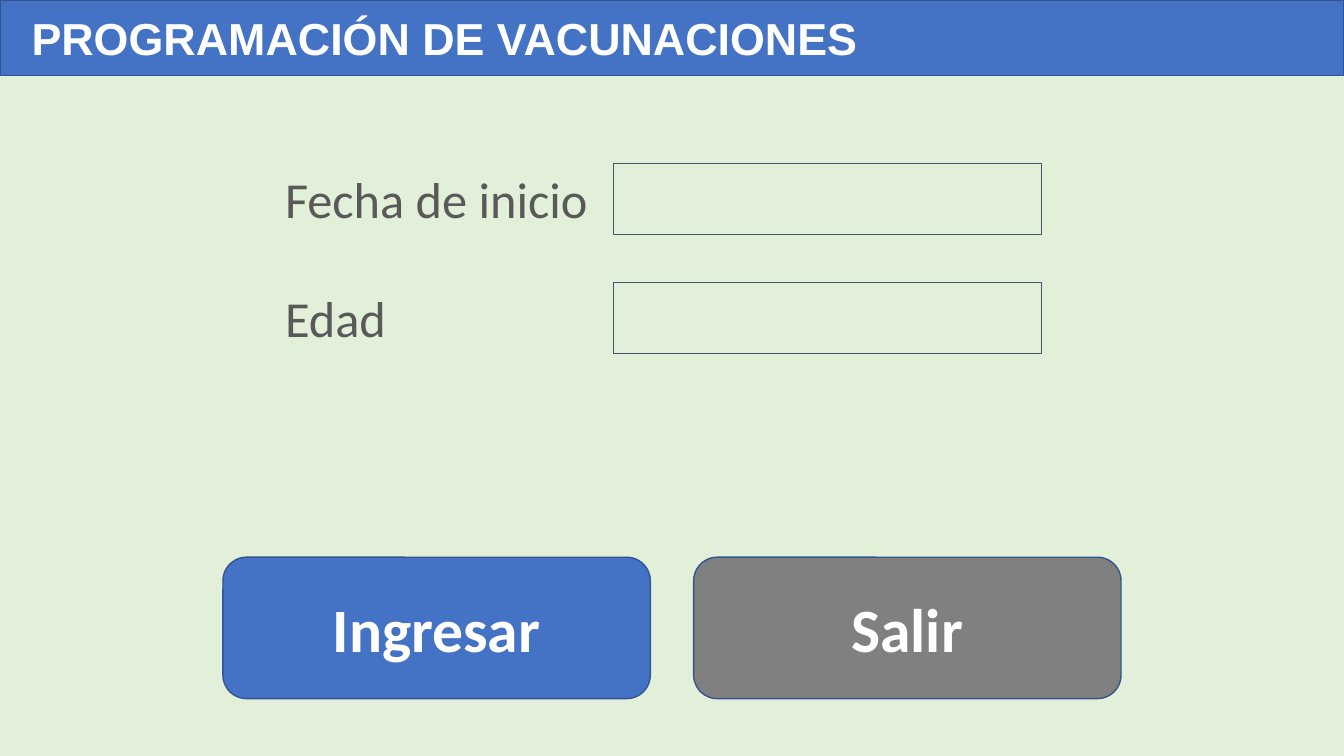
from collections import namedtuple
from dataclasses import dataclass

from pptx import Presentation
from pptx import util as u
from pptx.dml.color import RGBColor
from pptx.enum import shapes, text

Box = namedtuple("Box", "left top width height")


@dataclass(frozen=True)
class Theme:
    background: str = "E2F0D9"
    primary: str = "4472C4"
    secondary: str = "808080"
    outline: str = "325491"
    field_outline: str = "44546A"
    label: str = "595959"
    light: str = "FFFFFF"
    title_font: str = "Arial"
    body_font: str = "Calibri"
    title_size: int = 32
    label_size: int = 36
    button_size: int = 44


THEME = Theme()


def points(box):
    return [u.Pt(length) for length in box]


def add_panel(slide, kind, box, fill, outline, line_width):
    shape = slide.shapes.add_shape(kind, *points(box))
    shape.shadow.inherit = False
    if fill:
        shape.fill.solid()
        shape.fill.fore_color.rgb = RGBColor.from_string(fill)
    else:
        shape.fill.background()
    shape.line.color.rgb = RGBColor.from_string(outline)
    shape.line.width = u.Pt(line_width)
    return shape


def write(shape, wording, font, size, color, bold=False, align=text.PP_ALIGN.LEFT):
    shape.text_frame.text = wording
    shape.text_frame.word_wrap = True
    paragraph = shape.text_frame.paragraphs[0]
    paragraph.alignment = align
    style = paragraph.runs[0].font
    style.name, style.size, style.bold = font, u.Pt(size), bold
    style.color.rgb = RGBColor.from_string(color)


def add_header(slide, box, title):
    bar = add_panel(slide, shapes.MSO_SHAPE.RECTANGLE, box, THEME.primary, THEME.outline, 1)
    write(bar, title, THEME.title_font, THEME.title_size, THEME.light, bold=True)
    bar.text_frame.margin_left = u.Pt(22.5)
    bar.text_frame.vertical_anchor = text.MSO_ANCHOR.MIDDLE


def add_form(slide, box, labels, row_height=51):
    label_width, field_offset = 231, 242
    pitch = (box.height - row_height) / (len(labels) - 1)
    for row, wording in enumerate(labels):
        top = box.top + row * pitch
        # Label
        label = slide.shapes.add_textbox(*points(Box(box.left, top, label_width, row_height)))
        write(label, wording, THEME.body_font, THEME.label_size, THEME.label)
        # Empty entry field
        field = Box(box.left + field_offset, top, box.width - field_offset, row_height)
        add_panel(slide, shapes.MSO_SHAPE.RECTANGLE, field, None, THEME.field_outline, 0.75)


def add_buttons(slide, box, buttons, gap=31):
    width = (box.width - gap * (len(buttons) - 1)) / len(buttons)
    for column, (wording, fill) in enumerate(buttons):
        place = Box(box.left + column * (width + gap), box.top, width, box.height)
        button = add_panel(slide, shapes.MSO_SHAPE.ROUNDED_RECTANGLE, place, fill, THEME.outline, 1)
        write(button, wording, THEME.body_font, THEME.button_size, THEME.light,
              bold=True, align=text.PP_ALIGN.CENTER)
        button.text_frame.vertical_anchor = text.MSO_ANCHOR.MIDDLE


def build_form_slide(presentation, box):
    slide = presentation.slides.add_slide(presentation.slide_layouts[6])
    slide.background.fill.solid()
    slide.background.fill.fore_color.rgb = RGBColor.from_string(THEME.background)

    # Title bar
    add_header(slide, Box(box.left, box.top, box.width, 54), "PROGRAMACIÓN DE VACUNACIONES")
    # Entry rows
    add_form(slide, Box(box.left + 196.5, box.top + 116.5, 547.5, 136),
             ["Fecha de inicio", "Edad"])
    # Actions, centred across the slide
    width = 641.5
    add_buttons(slide, Box(box.left + (box.width - width) / 2, box.top + 398, width, 101),
                [("Ingresar", THEME.primary), ("Salir", THEME.secondary)])


presentation = Presentation()
page = Box(0, 0, 960, 540)
presentation.slide_width, presentation.slide_height = u.Pt(page.width), u.Pt(page.height)
build_form_slide(presentation, page)
presentation.save("out.pptx")
